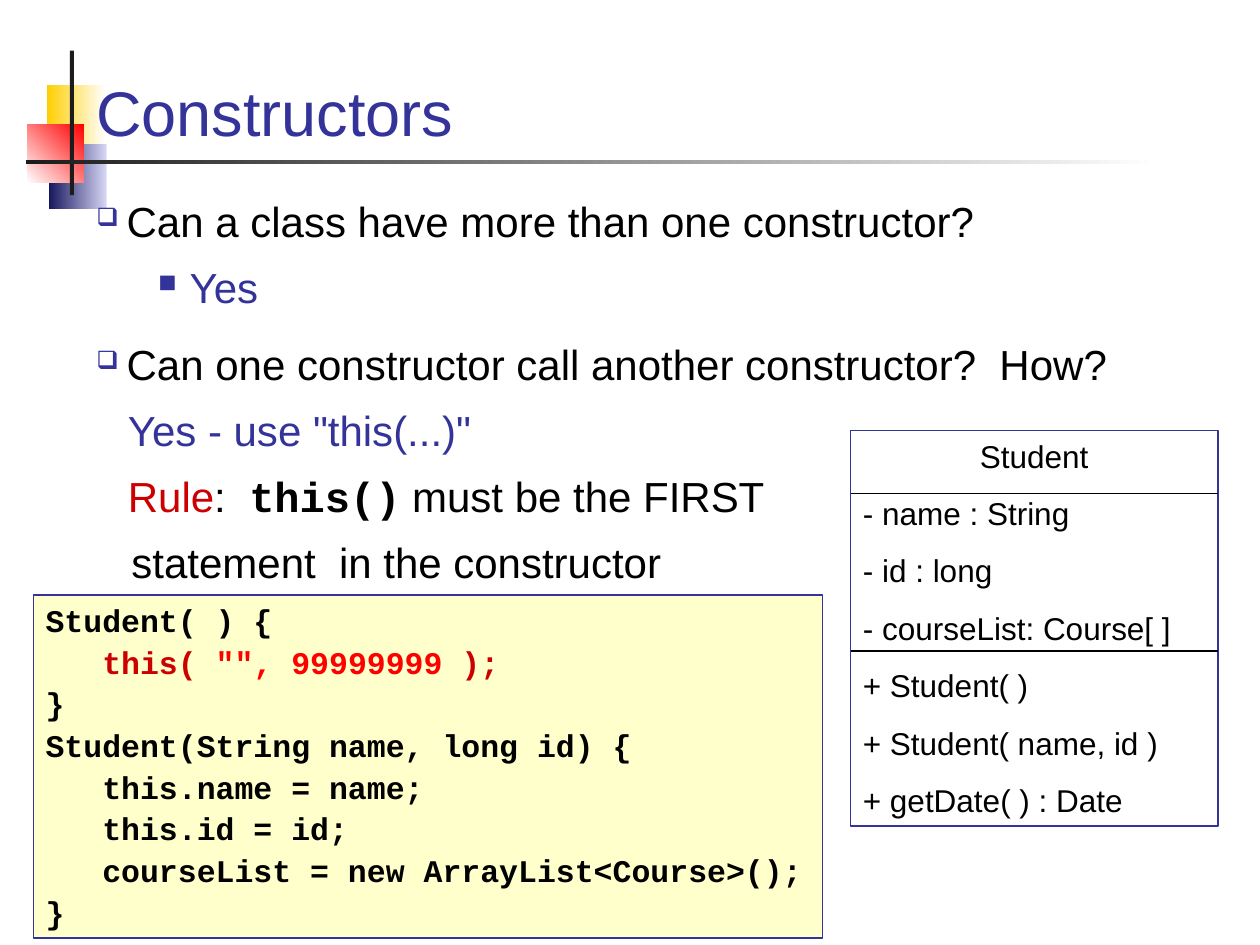
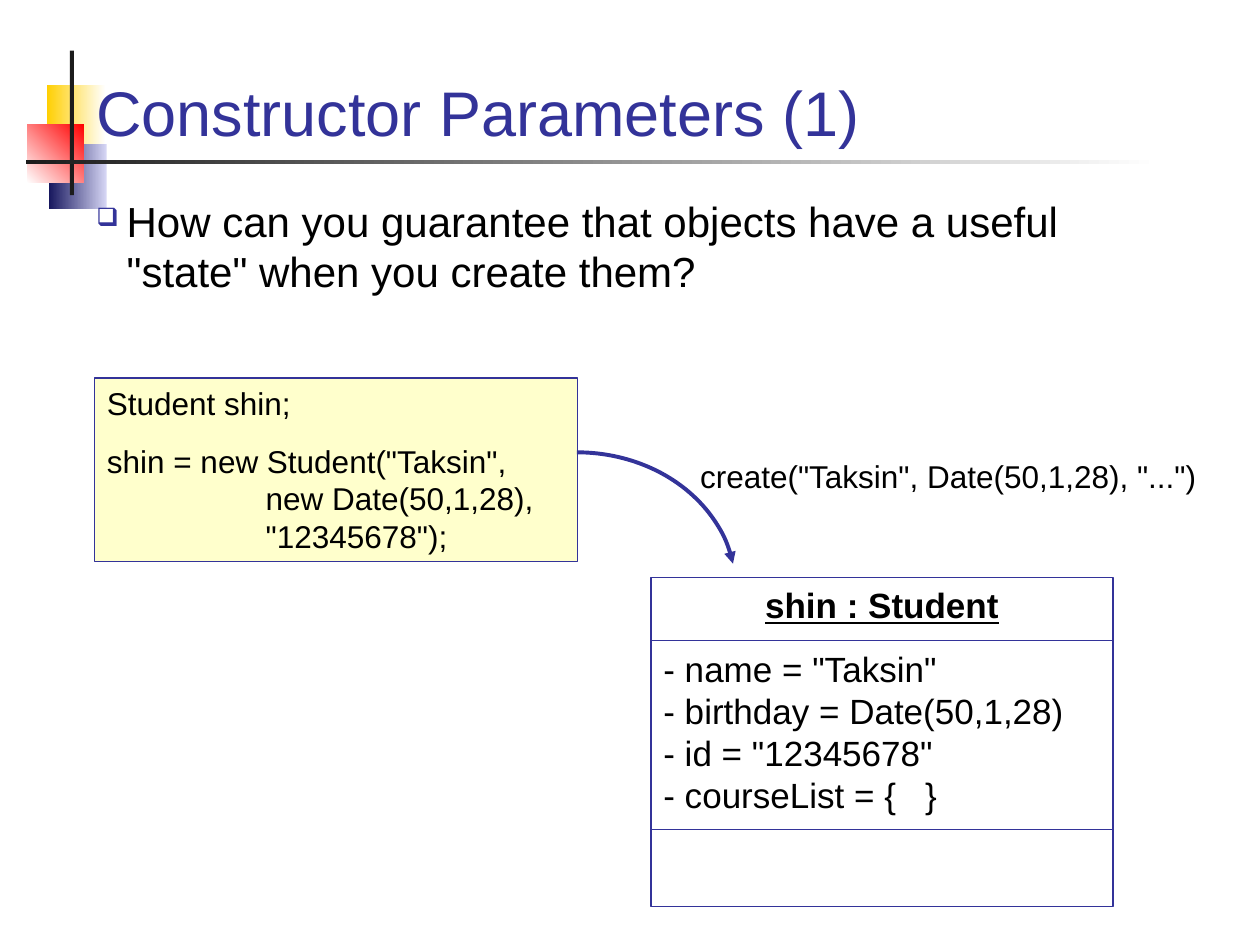
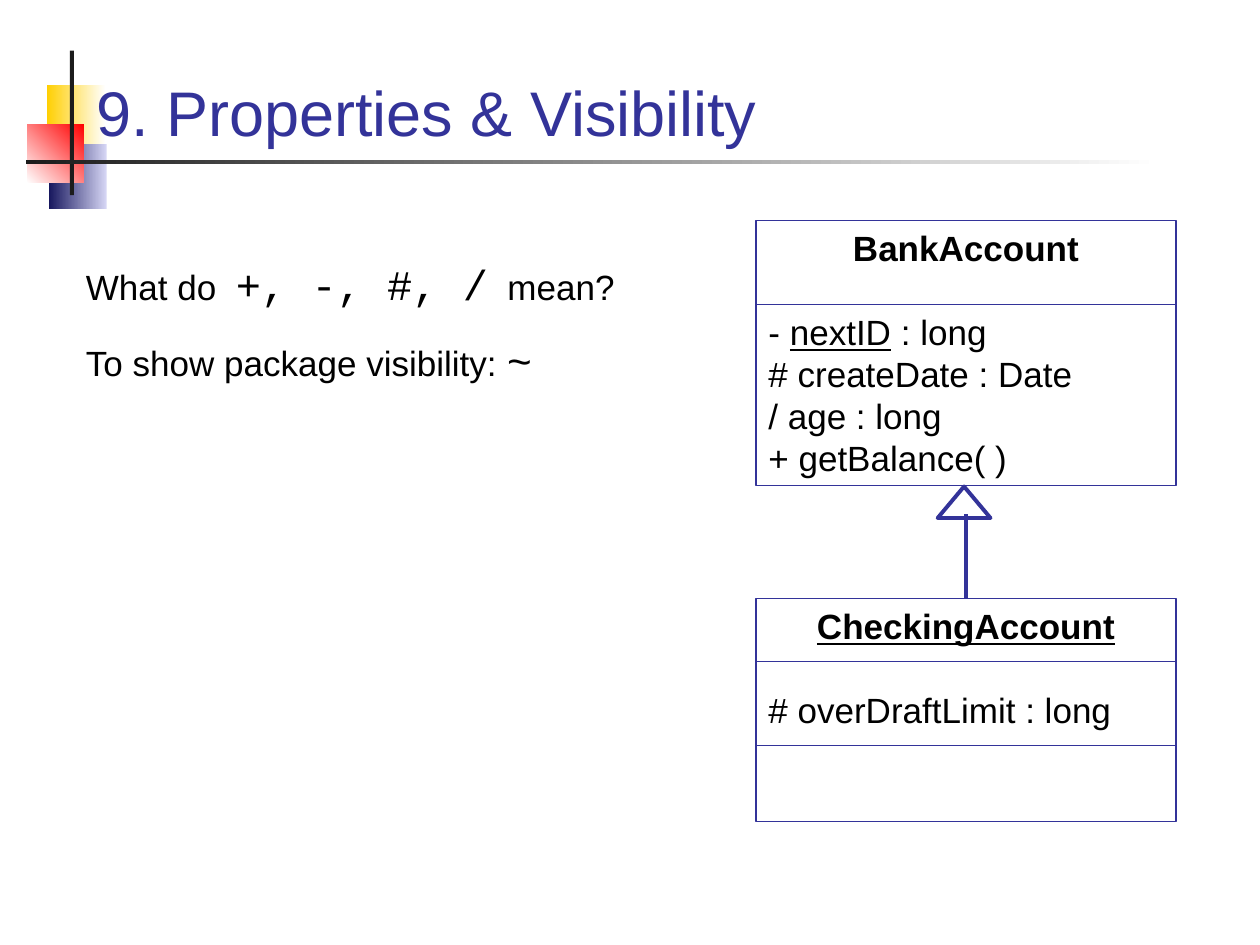
"""Build three slides on constructors, their parameters and visibility."""
from lxml import etree
from pptx import Presentation
from pptx import util as u
from pptx.dml.color import RGBColor
from pptx.enum import shapes, text
from pptx.oxml import ns

HUES = {"ink": "000000", "navy": "333399", "cream": "FFFFCC", "dark": "1C1C1C",
        "white": "FFFFFF", "gold": "FFCF01", "mist": "D6D6F5", "deep": "17175E",
        "red": "FF0000", "brick": "CC0000"}
SANS, MONO = "Arial", "Courier New"
LEAD = 1.2
KIND = shapes.MSO_SHAPE


def hue(name):
    """Return the named colour."""
    return RGBColor.from_string(HUES[name])


def pts(*nums):
    """Turn numbers into lengths in points."""
    return [u.Pt(n) for n in nums]


def node(host, tag, **attrs):
    """Add a drawing element to its host."""
    return etree.SubElement(host, ns.qn(tag), attrs)


def style(font, size=None, face=None, tone=None, bold=None, under=None):
    """Set the given traits of a font."""
    if size:
        font.size = u.Pt(size)
    if face:
        font.name = face
    if tone:
        font.color.rgb = hue(tone)
    if bold is not None:
        font.bold = bold
    if under is not None:
        font.underline = under


def say(frame, spans, size=18, gap=0, left=0, hang=0, mark=None, lead=None,
        face=SANS, tone="ink", bold=False, under=False, mid=False):
    """Add one paragraph, given as a string or a list of styled spans."""
    fresh = not frame.text
    para = frame.paragraphs[0] if fresh else frame.add_paragraph()
    para.space_before = u.Pt(0 if fresh else gap)
    para.line_spacing = u.Pt((lead or size) * LEAD)
    para.alignment = text.PP_ALIGN.CENTER if mid else text.PP_ALIGN.LEFT
    props = para._p.get_or_add_pPr()
    props.set("marL", str(u.Pt(left)))
    props.set("indent", str(u.Pt(-hang)))
    if mark:
        node(node(props, "a:buClr"), "a:srgbClr", val=HUES["navy"])
        node(props, "a:buSzPct", val="60000")
        node(props, "a:buChar", char=mark)
    style(para.font, size, face, tone, bold, under)
    if isinstance(spans, str):
        para.text = spans
        return
    for words, traits in spans:
        run = para.add_run()
        run.text = words
        style(run.font, **traits)


def shape(slide, box, kind=KIND.RECTANGLE, fill=None, line=None, width=0.75):
    """Add a flat preset shape with text from the top left."""
    item = slide.shapes.add_shape(kind, *pts(*box))
    item.shadow.inherit = False
    if fill:
        item.fill.solid()
        item.fill.fore_color.rgb = hue(fill)
    else:
        item.fill.background()
    if line:
        item.line.color.rgb = hue(line)
        item.line.width = u.Pt(width)
    else:
        item.line.fill.background()
    item.text_frame.word_wrap = True
    item.text_frame.vertical_anchor = text.MSO_ANCHOR.TOP
    return item


def note(slide, box, low=False):
    """Add a wrapping text box and return its frame."""
    frame = slide.shapes.add_textbox(*pts(*box)).text_frame
    frame.word_wrap = True
    if low:
        frame.vertical_anchor = text.MSO_ANCHOR.BOTTOM
    return frame


def rule(slide, start, end, tone="navy", width=0.75):
    """Draw a straight line between two points."""
    line = slide.shapes.add_connector(
        shapes.MSO_CONNECTOR.STRAIGHT, *pts(*start, *end))
    line.line.color.rgb = hue(tone)
    line.line.width = u.Pt(width)
    node(line._element.spPr, "a:effectLst")
    return line


def fade(slide, box, first, last, angle):
    """Add a rectangle that fades from one colour to another."""
    fill = shape(slide, box).fill
    fill.gradient()
    fill.gradient_angle = angle
    for stop, tone in zip(fill.gradient_stops, (first, last)):
        stop.color.rgb = hue(tone)


def emblem(slide, x, y):
    """Draw the coloured squares and the crossed bars."""
    fade(slide, (x + 11.7, y + 19.5, 33.6, 37.4), "white", "gold", 180)
    fade(slide, (x + 13, y + 53, 33, 37.4), "mist", "deep", 180)
    fade(slide, (x + 0.5, y + 42, 32.5, 33.6), "red", "white", 225)
    shape(slide, (x + 25, y, 2.3, 82.6), fill="dark")
    fade(slide, (x, y + 62.3, 647.3, 2.3), "white", "dark", 180)


def page(deck, title):
    """Start a slide with the emblem and its title."""
    slide = deck.slides.add_slide(deck.slide_layouts[6])
    emblem(slide, 15, 29)
    say(note(slide, (48, 20.2, 624, 68.4), True), title, 36, tone="navy")
    return slide


def ask(frame, words):
    """Add a question with a box bullet."""
    say(frame, words, 24, 15, 17.3, 17.3, "❑")


def uml(slide, box, name, rows, cuts, size=20, first=24, gap=0,
        bold=True, under=True, tone="navy"):
    """Draw a class box with its name, rows and dividers."""
    x, y, w, _ = box
    item = shape(slide, box, line="navy")
    frame = item.text_frame
    say(frame, name, size, bold=bold, under=under, mid=True)
    for i, row in enumerate(rows):
        say(frame, row, size, gap if i else first)
    for cut in cuts:
        rule(slide, (x, y + cut), (x + w, y + cut), tone)
    return item


def code(slide, box, rows, **traits):
    """Show lines of code in a cream box."""
    frame = shape(slide, box, fill="cream", line="navy").text_frame
    for row in rows:
        say(frame, row, **traits)


def calls(deck):
    """Slide on constructors that call each other."""
    slide = page(deck, "Constructors")
    body = note(slide, (48, 108, 624, 351.4))
    ask(body, "Can a class have more than one constructor?")
    say(body, "Yes", 24, 9, 53.3, 18, "■", tone="navy")
    ask(body, "Can one constructor call another constructor?  How?")
    say(body, "Yes - use \"this(...)\"", 24, 9, 18, tone="navy")
    say(body, [("Rule", {"tone": "brick"}), (":  ", {}),
               ("this()", {"face": MONO, "bold": True}),
               (" must be the FIRST", {})], 24, 9, 18)
    say(body, "statement  in the constructor", 24, 9, 20)
    uml(slide, (486, 246, 210, 226), "Student",
        ["- name : String", "- id : long", "- courseList: Course[ ]",
         "+ Student( )", "+ Student( name, id )", "+ getDate( ) : Date"],
        (36, 126), 18, 11.2, 11.2, False, False, "ink")
    code(slide, (19, 340, 451, 196),
         ["Student( ) {",
          [("   this( ", {"tone": "brick"}), ("\"\", 99999999 ", {"tone": "red"}),
           (");", {"tone": "brick"})],
          "}",
          "Student(String name, long id) {",
          "   this.name = name;",
          "   this.id = id;",
          "   courseList = new ArrayList<Course>();",
          "}"], gap=2.2, face=MONO, bold=True)


def params(deck):
    """Slide on constructor parameters."""
    slide = page(deck, "Constructor Parameters (1)")
    ask(note(slide, (48, 108, 624, 72)), "How can you guarantee that objects "
        "have a useful \"state\" when you create them?")
    uml(slide, (372, 330, 264, 188), "shin : Student",
        ["- name = \"Taksin\"", "- birthday = Date(50,1,28)",
         "- id = \"12345678\"", "- courseList = {   }"], (36, 144), first=12.5)
    code(slide, (54, 216, 276, 105),
         ["Student shin;",
          "shin = new Student(\"Taksin\",\nnew Date(50,1,28),\n\"12345678\");"],
         gap=11.2, left=90.7, hang=90.7)
    arc = shape(slide, (239, 258.5, 181.4, 155.5), KIND.ARC, line="navy", width=2.25)
    arc.adjustments[0], arc.adjustments[1] = 162, 210.6
    node(arc.line._get_or_add_ln(), "a:tailEnd", type="triangle")
    say(note(slide, (393, 257.8, 318, 29)), "create(\"Taksin\", Date(50,1,28), \"...\")")


def access(deck):
    """Slide on properties and visibility."""
    slide = page(deck, "9. Properties & Visibility")
    uml(slide, (432, 126, 240, 151.4), "BankAccount",
        [[("- ", {}), ("nextID", {"under": True}), (" : long", {})],
         "# createDate : Date", "/ age : long", "+ getBalance( )"],
        (48,), under=False)
    child = uml(slide, (432, 342, 240, 127.4), "CheckingAccount",
                ["# overDraftLimit : long"], (36, 84))
    stem = rule(slide, (552, 342), (552, 294), width=2.25)
    stem.begin_connect(child, 0)
    shape(slide, (535.8, 278, 30.2, 18), KIND.ISOSCELES_TRIANGLE,
          line="navy", width=2.25)
    frame = note(slide, (42, 144, 318, 80))
    sign = {"size": 24, "face": MONO}
    say(frame, [("What do  ", {}), ("+, -, #, /", sign), ("  mean?", {})],
        20, lead=24)
    say(frame, [("To show package visibility: ", {}), ("~", sign)],
        20, 15, lead=24)


def main():
    """Build and save the deck."""
    deck = Presentation()
    deck.slide_width, deck.slide_height = pts(720, 540)
    for make in (calls, params, access):
        make(deck)
    deck.save("out.pptx")


if __name__ == "__main__":
    main()
